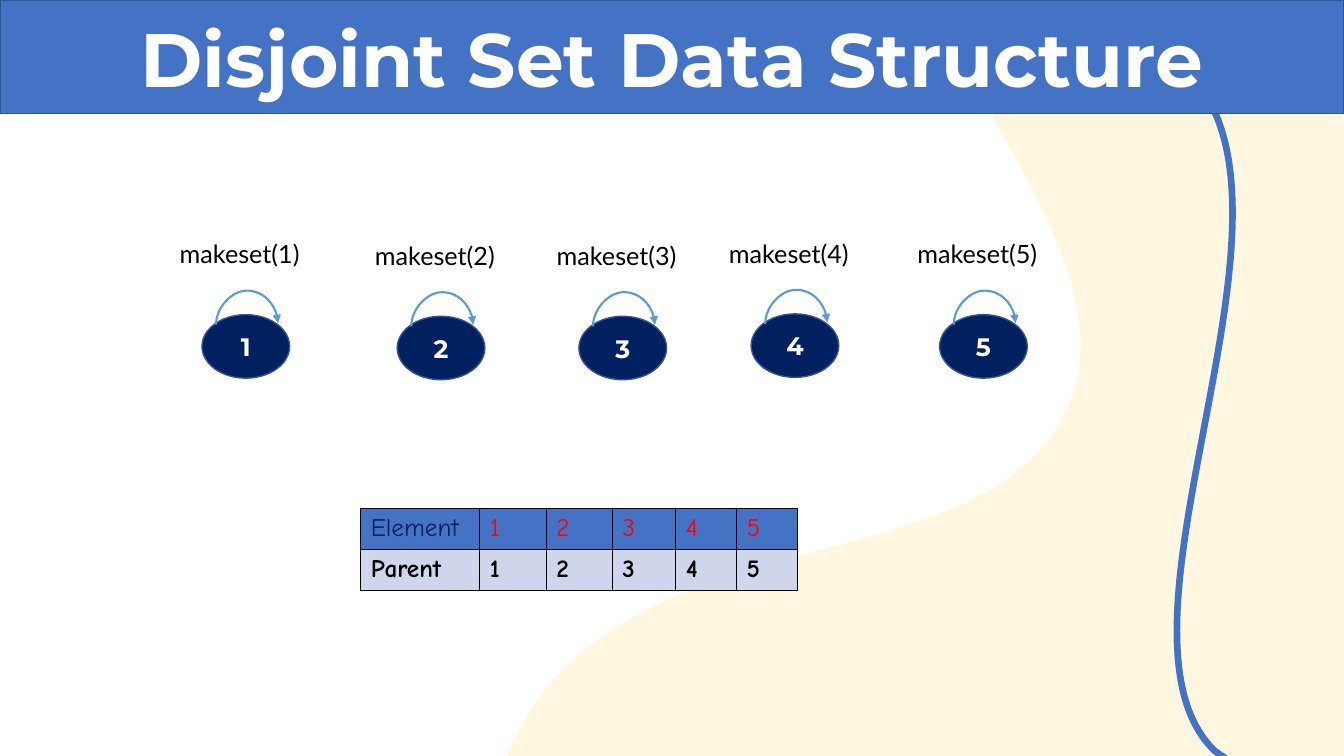
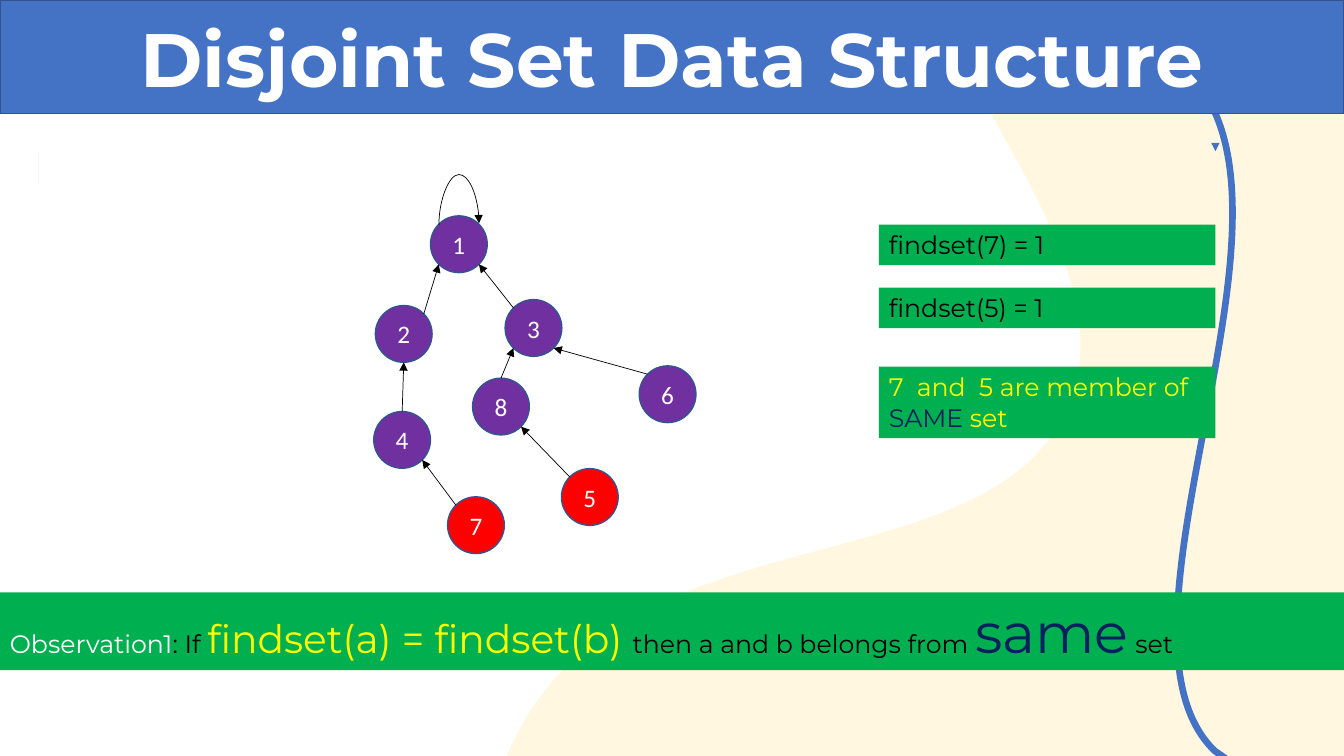
import pptx
import pptx.dml.color
import pptx.enum.shapes
import pptx.enum.text
import pptx.oxml
import pptx.oxml.ns
import pptx.util
import lxml.etree

Cm = pptx.util.Cm
Pt = pptx.util.Pt
SHAPES = pptx.enum.shapes.MSO_SHAPE
CONNECTORS = pptx.enum.shapes.MSO_CONNECTOR
ANCHORS = pptx.enum.text.MSO_ANCHOR
ALIGNMENTS = pptx.enum.text.PP_ALIGN

SLIDE_WIDTH, SLIDE_HEIGHT = 33.87, 19.05
COLOURS = {
    "blue": "4472C4", "outline": "325491", "sky": "5B9BD5", "navy": "002060",
    "sand": "FFD966", "pale": "CFD5EA", "green": "00B050", "purple": "7030A0",
    "red": "FF0000", "yellow": "FFFF00", "black": "000000", "white": "FFFFFF",
    "mist": "ECEFFA",
}
FONTS = {
    "title": {"name": "Montserrat", "size": Pt(54), "bold": True},
    "set": {"name": "Montserrat", "size": Pt(18), "bold": True},
    "note": {"name": "Montserrat", "size": Pt(18), "bold": False},
    "large": {"name": "Montserrat", "size": Pt(28), "bold": False},
    "huge": {"name": "Montserrat", "size": Pt(40), "bold": False},
    "label": {"name": "Lato", "size": Pt(18), "bold": False},
    "node": {"name": "Calibri", "size": Pt(18), "bold": False},
    "header": {"name": "Comic Neue", "size": Pt(18), "bold": False},
    "body": {"name": "Comic Neue", "size": Pt(18), "bold": True},
}
CENTRED = {"vertical_anchor": ANCHORS.MIDDLE, "word_wrap": True}
TOP = {"vertical_anchor": ANCHORS.TOP, "word_wrap": True}

BLOB = [
    (23.55, 0), (33.87, 0), (33.87, 19.05), (12.78, 19.05), (12.88, 18.8),
    (12.98, 18.57, 13.08, 18.42, 13.13, 18.31),
    (16.03, 13, 24.43, 14.68, 26.72, 10.64),
    (28.52, 7.52, 25.1, 3.71, 23.67, 0.3),
]
WAVE = [
    (30.91, 19.13), (30.84, 19.08), (30.61, 18.92),
    (27.53, 15.93, 33.2, 5.59, 30.1, 2.01),
    (27.38, -1.19, 20.83, 4.57, 17.35, 0.3),
    (17.27, 0.23, 17.17, 0.1, 17.04, -0.08),
]
SETS = [(5.09, 7.93), (10.01, 7.97), (14.59, 7.97), (18.93, 7.91), (23.68, 7.93)]
SET_SIZE = (2.21, 1.6)
NODE_SIZE = (1.43, 1.43)
NODES = {
    "1": (10.85, 5.44, "purple"), "7": (11.28, 12.52, "red"),
    "8": (11.91, 9.53, "purple"), "5": (14.15, 11.81, "red"),
    "4": (9.42, 10.37, "purple"), "3": (12.73, 7.55, "purple"),
    "6": (16.11, 9.22, "purple"), "2": (9.46, 7.7, "purple"),
}
EDGES = [
    ("2", "top right", "1", "bottom left"), ("3", "top left", "1", "bottom right"),
    ("4", "top", "2", "bottom"), ("7", "top left", "4", "bottom right"),
    ("8", "top", "3", "bottom left"), ("6", "top left", "3", "bottom right"),
    ("5", "top left", "8", "bottom right"),
]
TABLE_COLUMNS = [3, 1.68, 1.66, 1.6, 1.53, 1.53]
TABLE_ROW = 1.03
TABLE_ROWS = [
    ("Element", "header", "navy", "red", "blue"),
    ("Parent", "body", "black", "black", "pale"),
]
NOTES = [
    ((22.15, 5.66, 8.48, 1.02), [("findset(7) = 1", "note", "black")]),
    ((22.15, 7.25, 8.48, 1.02), [("findset(5) = 1", "note", "black")]),
    ((0, 14.93, SLIDE_WIDTH, 1.96), [
        ("Observation1", "note", "white"), (": If ", "note", "black"),
        ("findset(a) = findset(b) ", "large", "yellow"),
        ("then a and b belongs from ", "note", "black"),
        ("same", "huge", "navy"), (" set", "note", "black")]),
    ((22.15, 9.24, 8.48, 1.8), [
        ("7  and  5 are member of ", "note", "yellow"), ("SAME", "note", "navy"),
        (" set", "note", "yellow")]),
]


def rgb(colour):
    return pptx.dml.color.RGBColor.from_string(COLOURS[colour])


def set_values(target, values):
    for name, value in values.items():
        setattr(target, name, value)


def add_element(parent, tag, **attributes):
    element = lxml.etree.SubElement(parent, pptx.oxml.ns.qn(tag))
    for name, value in attributes.items():
        element.set(name, str(value))
    return element


def paint(shape, fill=None, line=None, width=1):
    shape.shadow.inherit = False
    if fill:
        shape.fill.solid()
        shape.fill.fore_color.rgb = rgb(fill)
    else:
        shape.fill.background()
    if line:
        shape.line.color.rgb = rgb(line)
        shape.line.width = Pt(width)
    else:
        shape.line.fill.background()


def write(text_frame, runs, alignment=ALIGNMENTS.LEFT):
    paragraph = text_frame.paragraphs[0]
    paragraph.alignment = alignment
    for text, font, colour in runs:
        run = paragraph.add_run()
        run.text = text
        set_values(run.font, FONTS[font])
        run.font.color.rgb = rgb(colour)


def add_box(slide, kind, box, runs, fill, line=None, frame=CENTRED, alignment=ALIGNMENTS.CENTER):
    shape = slide.shapes.add_shape(kind, *map(Cm, box))
    paint(shape, fill, line)
    set_values(shape.text_frame, frame)
    write(shape.text_frame, runs, alignment)


def add_label(slide, box, text):
    label = slide.shapes.add_textbox(*map(Cm, box))
    set_values(label.text_frame, TOP)
    write(label.text_frame, [(text, "label", "black")])


def add_outline(slide, segments, close):
    points = [tuple(map(Cm, segment[-2:])) for segment in segments]
    builder = slide.shapes.build_freeform(*points[0])
    builder.add_line_segments(points[1:], close=close)
    shape = builder.convert_to_shape()
    lines = list(shape._element.spPr.iter(pptx.oxml.ns.qn("a:lnTo")))
    for line, segment in zip(lines, segments[1:]):
        if len(segment) == 6:
            curve = add_element(line.getparent(), "a:cubicBezTo")
            for x, y in zip(segment[::2], segment[1::2]):
                add_element(curve, "a:pt", x=Cm(x) - shape.left, y=Cm(y) - shape.top)
            line.getparent().replace(line, curve)
    return shape


def add_arrow(slide, start, end, colour, width, kind=CONNECTORS.STRAIGHT):
    arrow = slide.shapes.add_connector(kind, *map(Cm, (*start, *end)))
    arrow.line.color.rgb = rgb(colour)
    arrow.line.width = Pt(width)
    add_element(arrow.line._get_or_add_ln(), "a:tailEnd", type="triangle")
    add_element(arrow._element.spPr, "a:effectLst")
    return arrow


def site(corner, size, name):
    reach = 0.5 if name in ("top", "bottom") else 0.5 ** 1.5
    across = reach * (("right" in name) - ("left" in name))
    down = reach * (("bottom" in name) - ("top" in name))
    return corner[0] + size[0] * (0.5 + across), corner[1] + size[1] * (0.5 + down)


def add_loop(slide, corner, size, rise, colour, width, drop=0.04):
    left, y = site(corner, size, "top left")
    right, _ = site(corner, size, "top right")
    middle, half = (left + right) / 2, (right - left) / 2
    loop = add_arrow(slide, (middle + drop / 2, y + half), (middle - drop / 2, y - half),
                     colour, width, CONNECTORS.CURVE)
    properties = loop._element.spPr
    properties.find(pptx.oxml.ns.qn("a:xfrm")).set("rot", "5400000")
    geometry = properties.find(pptx.oxml.ns.qn("a:prstGeom"))
    adjustments = geometry.find(pptx.oxml.ns.qn("a:avLst"))
    add_element(adjustments, "a:gd", name="adj1", fmla=f"val {round(rise / drop * 100000)}")


def add_border(cell):
    properties = cell._tc.get_or_add_tcPr()
    for index, side in enumerate(("a:lnL", "a:lnR", "a:lnT", "a:lnB")):
        line = add_element(properties, side, w=Pt(1))
        fill = add_element(line, "a:solidFill")
        add_element(fill, "a:srgbClr", val=COLOURS["black"])
        properties.insert(index, line)


def add_parent_table(slide, left, top):
    table = slide.shapes.add_table(
        len(TABLE_ROWS), len(TABLE_COLUMNS), Cm(left), Cm(top),
        Cm(sum(TABLE_COLUMNS)), Cm(TABLE_ROW * len(TABLE_ROWS))).table
    set_values(table, {"first_row": False, "horz_banding": False})
    for column, width in zip(table.columns, TABLE_COLUMNS):
        column.width = Cm(width)
    for row, (heading, font, heading_colour, colour, fill) in zip(table.rows, TABLE_ROWS):
        row.height = Cm(TABLE_ROW)
        for index, cell in enumerate(row.cells):
            cell.fill.solid()
            cell.fill.fore_color.rgb = rgb(fill)
            add_border(cell)
            run = (str(index), font, colour) if index else (heading, font, heading_colour)
            write(cell.text_frame, [run])


def add_base_slide(presentation):
    slide = presentation.slides.add_slide(presentation.slide_layouts[6])
    blob = add_outline(slide, BLOB, True)
    paint(blob, "sand")
    colour = blob._element.spPr.find(".//" + pptx.oxml.ns.qn("a:srgbClr"))
    add_element(colour, "a:alpha", val=20000)
    paint(add_outline(slide, WAVE, False), line="blue", width=4.75)
    return slide


def add_title(slide):
    add_box(slide, SHAPES.RECTANGLE, (0, 0.02, SLIDE_WIDTH, 2.84),
            [("Disjoint Set Data Structure", "title", "white")], "blue", "outline")


def add_makeset_slide(presentation):
    slide = add_base_slide(presentation)
    for number, (left, top) in enumerate(SETS, 1):
        add_label(slide, (left - 0.81, top - 2.04, 4.98, 1.02), f"makeset({number})")
        add_box(slide, SHAPES.OVAL, (left, top, *SET_SIZE),
                [(str(number), "set", "white")], "navy", "outline")
        add_loop(slide, (left + 0.03, top), SET_SIZE, 0.86, "sky", 1.5)
    add_parent_table(slide, 9.09, 12.82)
    add_title(slide)


def add_findset_slide(presentation):
    slide = add_base_slide(presentation)
    sliver = slide.shapes.add_shape(SHAPES.RECTANGLE, *map(Cm, (0.97, 3.81, 0.01, 0.76)))
    paint(sliver, "mist")
    for name, (left, top, fill) in NODES.items():
        add_box(slide, SHAPES.OVAL, (left, top, *NODE_SIZE),
                [(name, "node", "white")], fill, "outline")
    add_arrow(slide, (30.63, 3.61), (30.63, 3.81), "blue", 0.5)
    for child, child_site, parent, parent_site in EDGES:
        add_arrow(slide, site(NODES[child], NODE_SIZE, child_site),
                  site(NODES[parent], NODE_SIZE, parent_site), "black", 0.5)
    add_loop(slide, NODES["1"], NODE_SIZE, 1.27, "black", 0.5)
    for box, runs in NOTES:
        add_box(slide, SHAPES.RECTANGLE, box, runs, "green", frame=TOP, alignment=ALIGNMENTS.LEFT)
    add_title(slide)


def main():
    presentation = pptx.Presentation()
    set_values(presentation, {"slide_width": Cm(SLIDE_WIDTH), "slide_height": Cm(SLIDE_HEIGHT)})
    add_makeset_slide(presentation)
    add_findset_slide(presentation)
    presentation.save("out.pptx")


if __name__ == "__main__":
    main()
